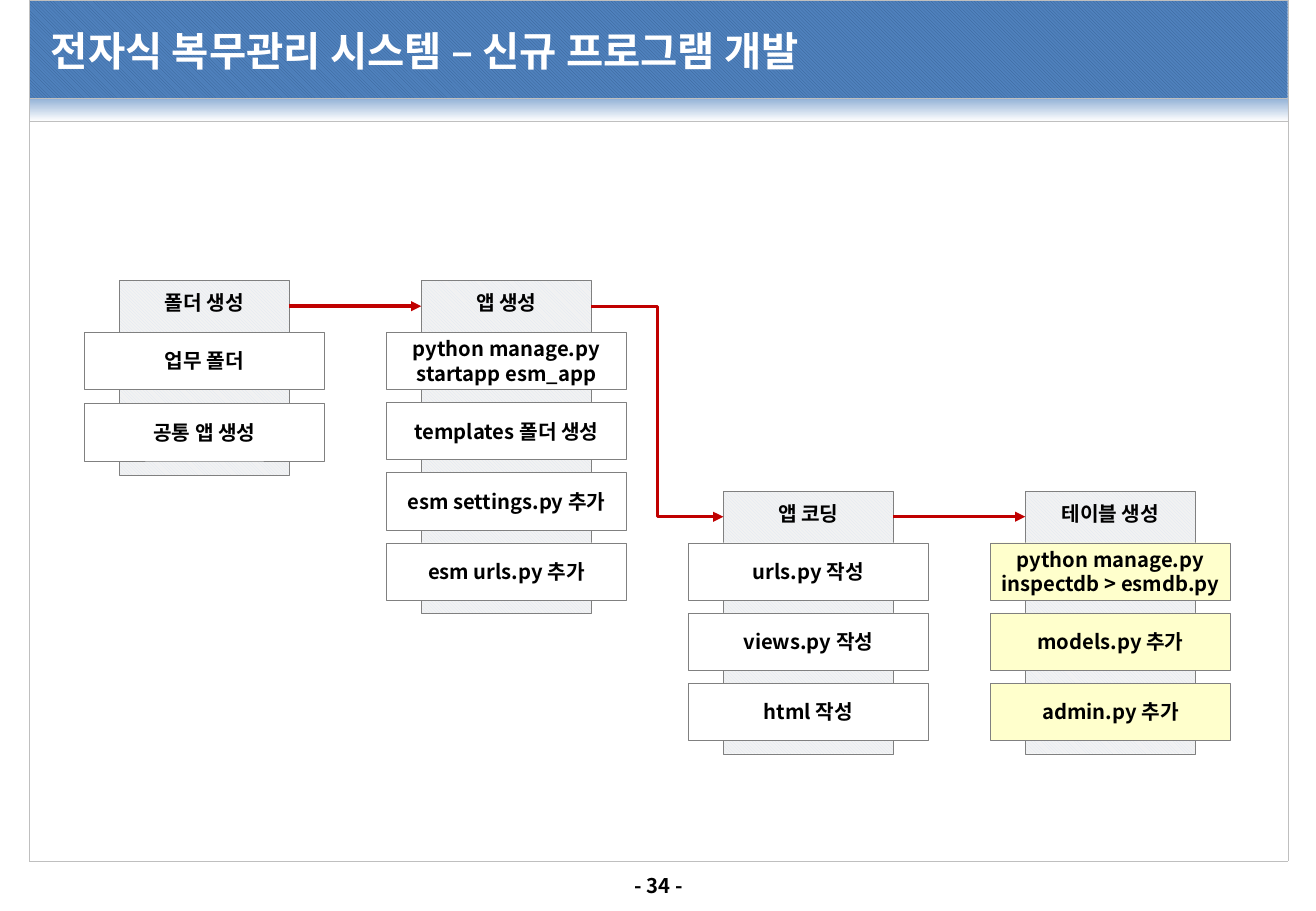
import pptx
import pptx.util
import pptx.dml.color
import pptx.enum.dml
import pptx.enum.shapes
import pptx.enum.text
import pptx.oxml.ns
from dataclasses import dataclass
from lxml import etree

Pt = pptx.util.Pt
RGB = pptx.dml.color.RGBColor.from_string
ALIGN = pptx.enum.text.PP_ALIGN
ANCHOR = pptx.enum.text.MSO_ANCHOR
LINK = pptx.enum.shapes.MSO_CONNECTOR
qn = pptx.oxml.ns.qn


@dataclass
class Theme:
    font: str = "Noto Sans CJK KR"
    title: int = 24
    body: int = 12
    white: str = "FFFFFF"
    black: str = "000000"
    edge: str = "808080"
    frame: str = "BFBFBF"
    arrow: str = "C00000"
    note: str = "FFFFCC"
    band: tuple = ("376092", "4F81BD")
    fade: tuple = ("95B3D7", "FFFFFF")
    head: tuple = ("DCE6F2", "F2F2F2")


class Deck:
    def __init__(self, theme):
        self.theme = theme
        self.file = pptx.Presentation()
        self.file.slide_width = Pt(780)
        self.file.slide_height = Pt(540)
        self.slide = self.file.slides.add_slide(self.file.slide_layouts[6])

    def rect(self, x, y, w, h, line):
        shape = self.slide.shapes.add_shape(
            pptx.enum.shapes.MSO_SHAPE.RECTANGLE, Pt(x), Pt(y), Pt(w), Pt(h))
        shape.shadow.inherit = False
        shape.line.color.rgb = RGB(line)
        shape.line.width = Pt(0.25)
        return shape

    def solid(self, shape, color):
        shape.fill.solid()
        shape.fill.fore_color.rgb = RGB(color)

    def hatch(self, shape, colors):
        shape.fill.patterned()
        shape.fill.pattern = pptx.enum.dml.MSO_PATTERN.LIGHT_DOWNWARD_DIAGONAL
        shape.fill.fore_color.rgb, shape.fill.back_color.rgb = map(RGB, colors)

    def fade(self, shape, colors):
        """Fill from top to bottom."""
        shape.fill.gradient()
        shape.fill.gradient_angle = 270
        for stop, color in zip(shape.fill.gradient_stops, colors):
            stop.color.rgb = RGB(color)

    def panel(self, y, h):
        """Add one dotted full-width part of the page frame."""
        shape = self.rect(17.3, y, 746, h, self.theme.frame)
        shape.line.dash_style = pptx.enum.dml.MSO_LINE.ROUND_DOT
        return shape

    def letter(self, shape, text, size, color, align=ALIGN.CENTER,
               anchor=ANCHOR.MIDDLE, wrap=True, pad=2.8):
        """Put styled text into a shape."""
        frame = shape.text_frame
        frame.word_wrap = wrap
        frame.vertical_anchor = anchor
        frame.margin_left = frame.margin_right = Pt(2.8)
        frame.margin_top = frame.margin_bottom = Pt(pad)
        frame.text = text
        para = frame.paragraphs[0]
        para.alignment = align
        para.font.name = self.theme.font
        para.font.size = Pt(size)
        para.font.bold = True
        para.font.color.rgb = RGB(color)
        props = para._p.pPr.find(qn("a:defRPr"))
        etree.SubElement(props, qn("a:ea"), typeface=self.theme.font)

    def label(self, x, y, w, h, text, size, color, align):
        box = self.slide.shapes.add_textbox(Pt(x), Pt(y), Pt(w), Pt(h))
        self.letter(box, text, size, color, align)

    def stage(self, x, y, title, steps, fill, pitch):
        """Add a hatched column with its title and the steps laid across it."""
        look = self.theme
        head = self.rect(x, y, 100.8, 30.8 + len(steps) * pitch, look.edge)
        self.hatch(head, look.head)
        self.letter(head, title, look.body, look.black,
                    anchor=ANCHOR.TOP, wrap=False, pad=5.7)
        for row, text in enumerate(steps):
            step = self.rect(x - 20.5, y + 30.5 + row * pitch, 142, 34, look.edge)
            self.solid(step, fill)
            self.letter(step, text, look.body, look.black)

    def arrow(self, kind, x1, y1, x2, y2):
        link = self.slide.shapes.add_connector(kind, Pt(x1), Pt(y1), Pt(x2), Pt(y2))
        link.line.color.rgb = RGB(self.theme.arrow)
        link.line.width = Pt(2)
        props = link._element.spPr
        etree.SubElement(props.find(qn("a:ln")), qn("a:tailEnd"), type="triangle")
        etree.SubElement(props, qn("a:effectLst"))


def main():
    look = Theme()
    deck = Deck(look)
    deck.solid(deck.panel(72, 438.5), look.white)
    deck.hatch(deck.panel(0, 58.5), look.band)
    deck.fade(deck.panel(58.5, 13.5), look.fade)
    deck.label(27.4, 5.8, 726.5, 47.5, "전자식 복무관리 시스템 – 신규 프로그램 개발",
               look.title, look.white, ALIGN.LEFT)
    deck.label(365.8, 514, 49, 21.6, "- 34 -", look.body, look.black, ALIGN.CENTER)

    high, low = 166.4, 291.2
    stages = [
        (high, "폴더 생성", ["업무 폴더", "공통 앱 생성"], look.white, 42.4),
        (high, "앱 생성", ["python manage.py startapp esm_app", "templates 폴더 생성",
                         "esm settings.py 추가", "esm urls.py 추가"], look.white, 41.6),
        (low, "앱 코딩", ["urls.py 작성", "views.py 작성", "html 작성"], look.white, 41.6),
        (low, "테이블 생성", ["python manage.py inspectdb > esmdb.py",
                          "models.py 추가", "admin.py 추가"], look.note, 41.6),
    ]
    left, gap = 70.7, 179
    for col, (top, *rest) in enumerate(stages):
        x = left + col * gap
        deck.stage(x, top, *rest)
        if col:
            last = stages[col - 1][0]
            kind = LINK.STRAIGHT if last == top else LINK.ELBOW
            deck.arrow(kind, x - gap + 100.8, last + 15.1, x, top + 15.1)
    deck.file.save("out.pptx")


if __name__ == "__main__":
    main()
